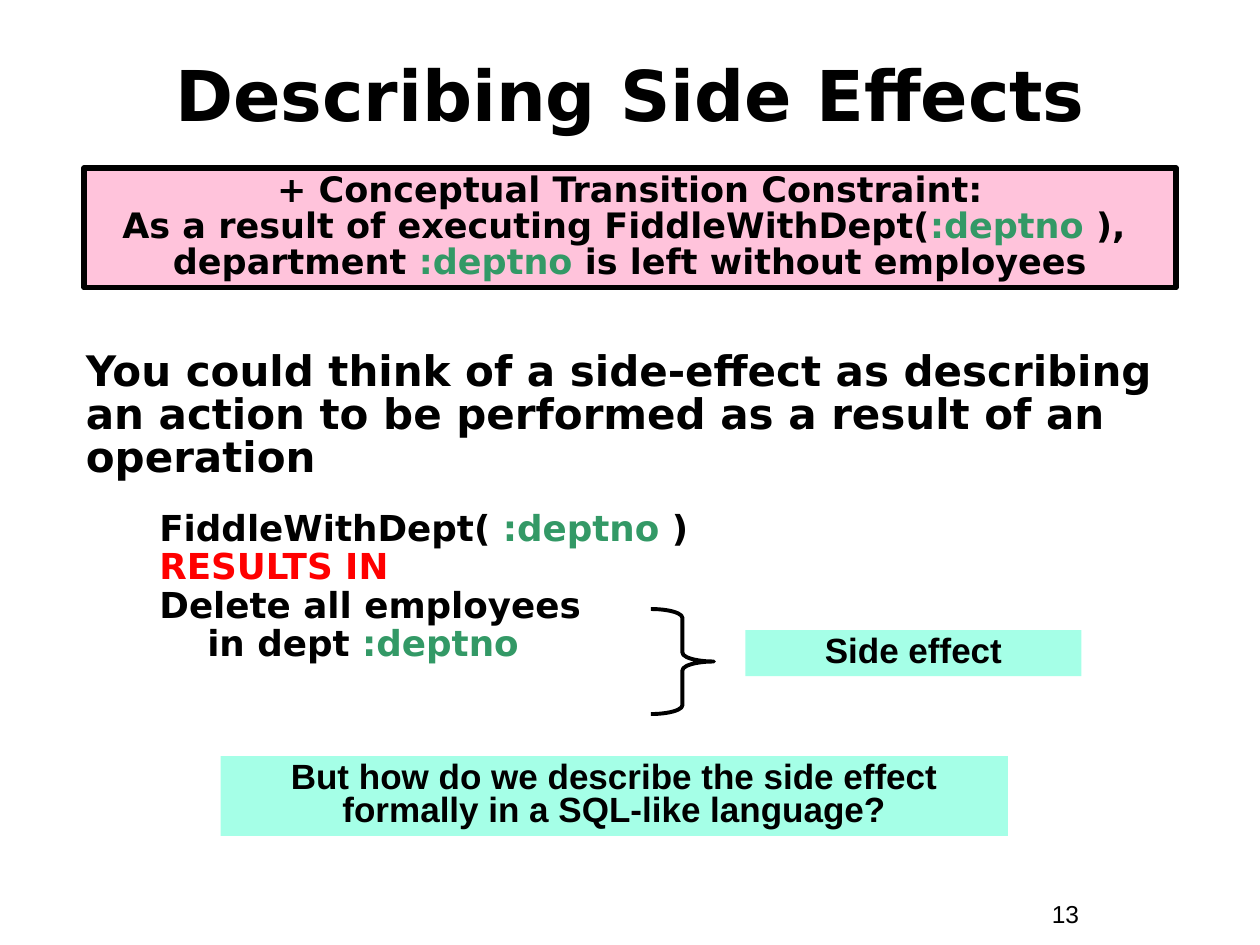
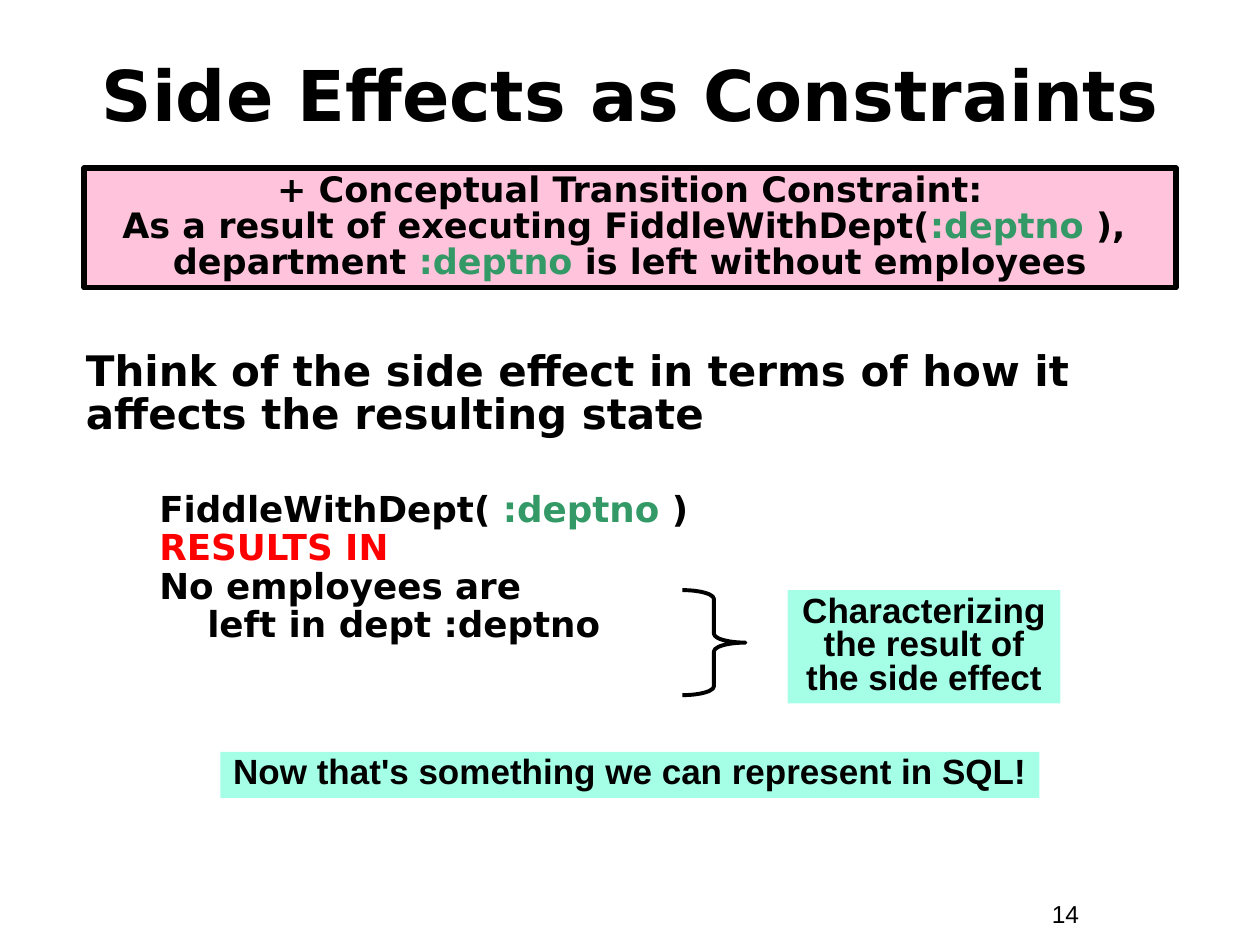
from dataclasses import dataclass
from typing import NamedTuple

from pptx import Presentation
from pptx.dml.color import RGBColor
from pptx.enum.shapes import MSO_SHAPE
from pptx.enum.text import MSO_ANCHOR, PP_ALIGN
from pptx.util import Inches, Pt

RECTANGLE, BRACE = MSO_SHAPE.RECTANGLE, MSO_SHAPE.RIGHT_BRACE
TOP, MIDDLE = MSO_ANCHOR.TOP, MSO_ANCHOR.MIDDLE
LEFT, CENTER = PP_ALIGN.LEFT, PP_ALIGN.CENTER

COLOURS = {
    "text": "000000",
    "parameter": "339966",
    "keyword": "FF0000",
    "banner": "FFC3DB",
    "label": "A5FFE7",
}

# The page is a grid of 120 columns by 90 rows, twelve to the inch
COLUMNS, ROWS, CELLS_PER_INCH = 120, 90, 12


class Area(NamedTuple):
    column: float
    row: float
    columns: float
    rows: float


class Span(NamedTuple):
    text: str
    colour: str = "text"


Line = list[Span]


@dataclass(frozen=True)
class TextStyle:
    font: str
    size: float
    bold: bool = True
    align: PP_ALIGN = LEFT
    spacing: float = 1.0
    anchor: MSO_ANCHOR = TOP
    hanging: float = 0  # inches


@dataclass(frozen=True)
class Label:
    area: Area
    text: str


@dataclass(frozen=True)
class SlideContent:
    number: int
    title: str
    statement: str
    code_row: float
    outcome: Line
    brace_column: float
    labels: list[Label]


TITLE = TextStyle("DejaVu Sans", 40, align=CENTER, spacing=0.85, anchor=MIDDLE)
BANNER = TextStyle("DejaVu Sans", 20, align=CENTER, spacing=0.85)
STATEMENT = TextStyle("DejaVu Sans", 24, spacing=0.85)
CODE = TextStyle("DejaVu Sans", 20.4, spacing=0.9, hanging=0.38)
LABEL = TextStyle("Arial", 20, align=CENTER, spacing=0.8)
NUMBER = TextStyle("Arial", 14, bold=False)

TITLE_AREA = Area(4, 4, 112, 11)
BANNER_AREA = Area(8, 16, 104, 11.4)
STATEMENT_AREA = Area(7, 33, 105, 47)
NUMBER_AREA = Area(99, 85, 11, 4.1)

# Wording shared by the slides
PARAMETER = Span(":deptno", "parameter")
CONSTRAINT = [
    Span("+ Conceptual Transition Constraint:\n"
         "As a result of executing FiddleWithDept("),
    PARAMETER,
    Span(" ), \ndepartment "),
    PARAMETER,
    Span(" is left without employees"),
]
OPERATION = [
    [Span("FiddleWithDept( "), PARAMETER, Span(" )")],
    [Span("RESULTS IN", "keyword")],
]

SLIDES = [
    SlideContent(
        number=13,
        title="Describing Side Effects",
        statement="You could think of a side-effect as describing an action "
                  "to be performed as a result of an operation",
        code_row=48,
        outcome=[Span("Delete all employees\nin dept "), PARAMETER],
        brace_column=62,
        labels=[
            Label(Area(71, 60, 32, 4.4), "Side effect"),
            Label(Area(21, 72, 75, 7.6), "But how do we describe the side effect\n"
                                         "formally in a SQL-like language?"),
        ],
    ),
    SlideContent(
        number=14,
        title="Side Effects as Constraints",
        statement="Think of the side effect in terms of how it affects "
                  "the resulting state",
        code_row=46.2,
        outcome=[Span("No employees are\nleft in dept :deptno")],
        brace_column=65,
        labels=[
            Label(Area(75, 56.2, 26, 10.8),
                  "Characterizing the result of the side effect"),
            Label(Area(21, 71.6, 78, 4.4),
                  "Now that's something we can represent in SQL!"),
        ],
    ),
]


def rgb(name: str) -> RGBColor:
    return RGBColor.from_string(COLOURS[name])


def place(area: Area) -> list[int]:
    return [Inches(cells / CELLS_PER_INCH) for cells in area]


def write(box, lines: list[Line], style: TextStyle) -> None:
    """Fill a box with one paragraph per line, all in one style."""
    frame = box.text_frame
    frame.word_wrap = True
    frame.vertical_anchor = style.anchor
    for index, line in enumerate(lines):
        para = frame.paragraphs[0] if index == 0 else frame.add_paragraph()
        para.alignment = style.align
        para.line_spacing = style.spacing
        para.space_before = Pt(0)
        if style.hanging:
            properties = para._p.get_or_add_pPr()
            properties.set("marL", str(Inches(style.hanging)))
            properties.set("indent", str(-Inches(style.hanging)))
        para.font.name = style.font
        para.font.size = Pt(style.size)
        para.font.bold = style.bold
        para.font.color.rgb = rgb("text")
        for span in line:
            for part_index, part in enumerate(span.text.split("\n")):
                if part_index:
                    para.add_line_break()
                if part:
                    run = para.add_run()
                    run.text = part
                    if span.colour != "text":
                        run.font.color.rgb = rgb(span.colour)


def add_text(slide, area: Area, lines: list[Line], style: TextStyle) -> None:
    write(slide.shapes.add_textbox(*place(area)), lines, style)


def add_panel(slide, area: Area, fill: str, line: Line, style: TextStyle,
              border: float = 0) -> None:
    box = slide.shapes.add_shape(RECTANGLE, *place(area))
    box.shadow.inherit = False
    box.fill.solid()
    box.fill.fore_color.rgb = rgb(fill)
    if border:
        box.line.color.rgb = rgb("text")
        box.line.width = Pt(border)
    else:
        box.line.fill.background()
    write(box, [line], style)


def add_brace(slide, area: Area) -> None:
    brace = slide.shapes.add_shape(BRACE, *place(area))
    brace.shadow.inherit = False
    brace.adjustments[0] = 0.14
    brace.fill.background()
    brace.line.color.rgb = rgb("text")
    brace.line.width = Pt(2.25)


def add_slide(deck, content: SlideContent) -> None:
    slide = deck.slides.add_slide(deck.slide_layouts[6])

    # Frame of the page
    add_text(slide, NUMBER_AREA, [[Span(str(content.number))]], NUMBER)
    add_text(slide, TITLE_AREA, [[Span(content.title)]], TITLE)
    add_text(slide, STATEMENT_AREA, [[Span(content.statement)]], STATEMENT)
    add_panel(slide, BANNER_AREA, "banner", CONSTRAINT, BANNER, border=3)

    # Operation and its outcome, with the brace ten rows below its top
    add_text(slide, Area(14, content.code_row, 87, 18),
             OPERATION + [content.outcome], CODE)
    add_brace(slide, Area(content.brace_column, content.code_row + 10, 6, 10))

    # Remarks
    for label in content.labels:
        add_panel(slide, label.area, "label", [Span(label.text)], LABEL)


def main() -> None:
    deck = Presentation()
    deck.slide_width = Inches(COLUMNS / CELLS_PER_INCH)
    deck.slide_height = Inches(ROWS / CELLS_PER_INCH)
    for content in SLIDES:
        add_slide(deck, content)
    deck.save("out.pptx")


if __name__ == "__main__":
    main()
